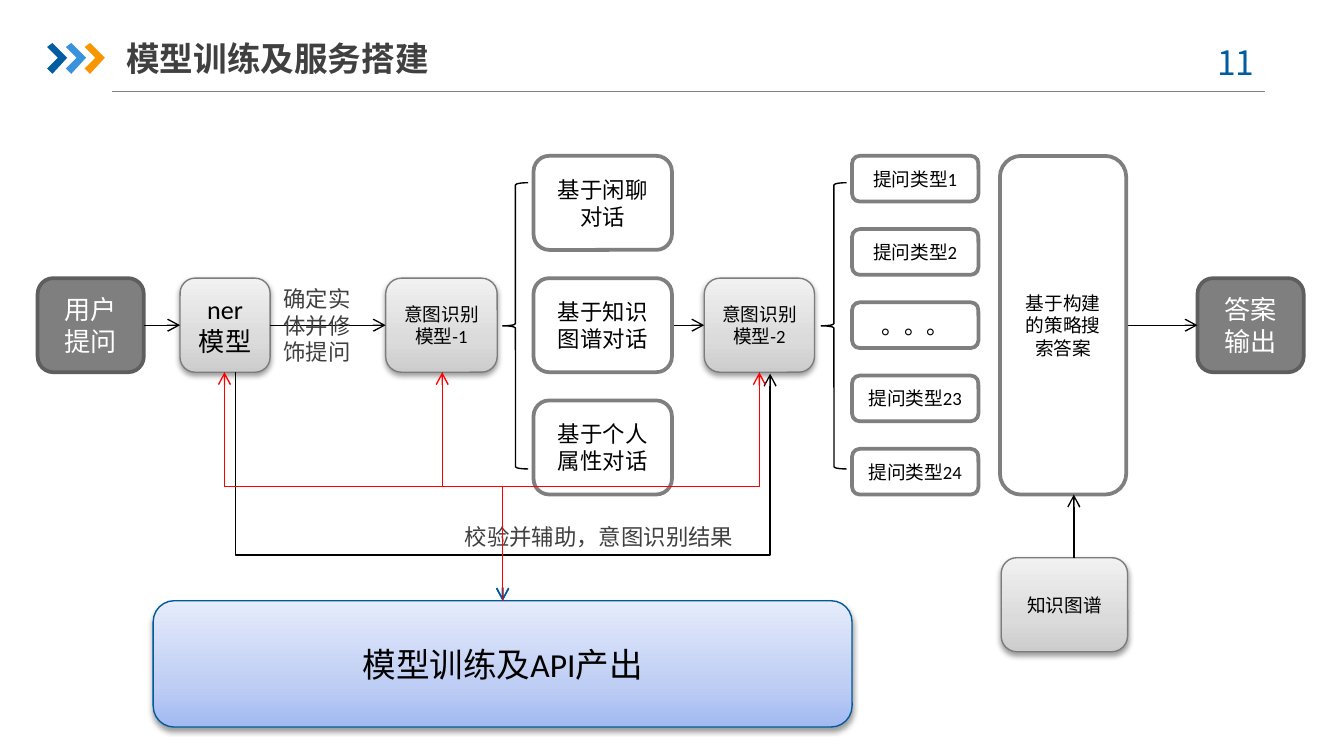
import pptx
import pptx.util
import pptx.dml.color
import pptx.enum.shapes
import pptx.enum.text
import pptx.oxml
import pptx.oxml.ns
from lxml import etree

Inches, Pt = pptx.util.Inches, pptx.util.Pt
RGBColor = pptx.dml.color.RGBColor
SHAPE = pptx.enum.shapes.MSO_SHAPE
CONNECTOR = pptx.enum.shapes.MSO_CONNECTOR
ALIGN = pptx.enum.text.PP_ALIGN
ANCHOR = pptx.enum.text.MSO_ANCHOR
qn = pptx.oxml.ns.qn

BLACK = RGBColor(0x00, 0x00, 0x00)
WHITE = RGBColor(0xFF, 0xFF, 0xFF)
RED = RGBColor(0xFF, 0x00, 0x00)
GRAY = RGBColor(0x7F, 0x7F, 0x7F)
DARK_GRAY = RGBColor(0x5E, 0x5E, 0x5E)
MID_GRAY = RGBColor(0x7C, 0x7C, 0x7C)
RULE_GRAY = RGBColor(0x80, 0x80, 0x80)
TEXT_GRAY = RGBColor(0x40, 0x40, 0x40)
BLUE = RGBColor(0x00, 0x5D, 0xA2)
LIGHT_BLUE = RGBColor(0x39, 0x92, 0xDB)
ORANGE = RGBColor(0xF7, 0x96, 0x00)
LINE_BLUE = RGBColor(0x00, 0x5B, 0x9E)
SILVER = [RGBColor(0xCC, 0xCC, 0xCC), RGBColor(0xDB, 0xDB, 0xDB), RGBColor(0xF1, 0xF1, 0xF1)]
SKY = [RGBColor(0xA2, 0xBA, 0xF2), RGBColor(0xBF, 0xCE, 0xF4), RGBColor(0xE6, 0xEC, 0xFC)]
CJK_FONT = "Noto Sans CJK SC"
ROW_H = 0.7


def sub(parent, tag, **attrs):
    """Append a DrawingML child element and return it."""
    return etree.SubElement(parent, qn(tag), {k: str(v) for k, v in attrs.items()})


def write(tf, text, size, color, font="Calibri", align=ALIGN.CENTER, bold=False):
    """Put one formatted run in a text frame."""
    p = tf.paragraphs[0]
    p.alignment = align
    r = p.add_run()
    r.text = text
    r.font.size, r.font.name, r.font.bold = Pt(size), font, bold
    r.font.color.rgb = color
    sub(r.font._element, "a:ea", typeface=CJK_FONT)


def add_label(s, box, text, size, color, align=ALIGN.LEFT, wrap=True, bold=False):
    """Add a text box and return its text frame."""
    tf = s.shapes.add_textbox(*map(Inches, box)).text_frame
    tf.word_wrap = wrap
    write(tf, text, size, color, CJK_FONT, align, bold)
    return tf


def add_box(s, box, text, size, fill=WHITE, line=GRAY, width=2, color=BLACK):
    """Add a flat rounded box with centred text."""
    sp = s.shapes.add_shape(SHAPE.ROUNDED_RECTANGLE, *map(Inches, box))
    sp.shadow.inherit = False
    sp.fill.solid()
    sp.fill.fore_color.rgb = fill
    sp.line.color.rgb, sp.line.width = line, Pt(width)
    sp.text_frame.word_wrap = True
    sp.text_frame.vertical_anchor = ANCHOR.MIDDLE
    write(sp.text_frame, text, size, color)
    return sp


def add_raised_box(s, box, text, size, stops=SILVER, line=MID_GRAY):
    """Add a rounded box with an upward gradient and a soft shadow."""
    sp = add_box(s, box, text, size, line=line, width=0.75)
    sp.fill.gradient()
    sp.fill.gradient_angle = 90
    stop_list = sp._element.spPr.find(".//" + qn("a:gsLst"))
    for stop in list(stop_list):
        stop_list.remove(stop)
    for pos, color in zip((0, 35000, 100000), stops):
        sub(sub(stop_list, "a:gs", pos=pos), "a:srgbClr", val=color)
    effects = sp._element.spPr.find(qn("a:effectLst"))
    shadow = sub(effects, "a:outerShdw", blurRad=Pt(3.1), dist=Pt(1.6), dir=5400000, rotWithShape=0)
    sub(sub(shadow, "a:srgbClr", val=BLACK), "a:alpha", val=38000)


def add_line(s, start, end, color=BLACK, arrow=True, kind=CONNECTOR.STRAIGHT):
    """Add a thin connector, with an open arrowhead if wanted."""
    sp = s.shapes.add_connector(kind, *map(Inches, (*start, *end)))
    sp.line.color.rgb, sp.line.width = color, Pt(0.75)
    if arrow:
        sub(sp._element.spPr.find(qn("a:ln")), "a:tailEnd", type="arrow")
    sub(sp._element.spPr, "a:effectLst")
    return sp


def add_elbow(s, start, end, color=BLACK, bend=0.5):
    """Add a connector that leaves and arrives vertically."""
    (x1, y1), (x2, y2) = start, end
    w, h = abs(y2 - y1), abs(x2 - x1)
    left, top = (x1 + x2 - w) / 2, (y1 + y2 - h) / 2
    sp = add_line(s, (left, top), (left + w, top + h), color, kind=CONNECTOR.ELBOW)
    down = y2 > y1
    xfrm = sp._element.spPr.find(qn("a:xfrm"))
    xfrm.set("rot", str((90 if down else 270) * 60000))
    if (x2 > x1) == down:
        xfrm.set("flipV", "1")
    geom = sp._element.spPr.find(qn("a:prstGeom"))
    guides = geom.find(qn("a:avLst"))
    if guides is None:
        guides = sub(geom, "a:avLst")
    sub(guides, "a:gd", name="adj1", fmla=f"val {round(bend * 100000)}")


def add_brace(s, box):
    """Add a thin left brace."""
    sp = s.shapes.add_shape(SHAPE.LEFT_BRACE, *map(Inches, box))
    sp.shadow.inherit = False
    sp.fill.background()
    sp.line.color.rgb, sp.line.width = BLACK, Pt(0.75)


def add_header(s, x, y):
    """Draw the chevrons, title, page number and rule."""
    add_line(s, (x + 0.48, y + 0.36), (x + 9.06, y + 0.36), RULE_GRAY, arrow=False)
    outline = [(0.04, 0), (0.15, 0.11), (0.04, 0.23), (0, 0.19), (0.08, 0.11)]
    for i, color in enumerate((BLUE, LIGHT_BLUE, ORANGE)):
        left = x + 0.14 * i
        points = [(Inches(left + dx), Inches(y + dy)) for dx, dy in outline]
        builder = s.shapes.build_freeform(Inches(left), Inches(y + 0.03))
        builder.add_line_segments(points, close=True)
        sp = builder.convert_to_shape()
        sp.shadow.inherit = False
        sp.fill.solid()
        sp.fill.fore_color.rgb = color
        sp.line.fill.background()
    add_label(s, (x + 8.51, y - 0.06, 0.73, 0.4), "11 ", 18, BLUE, ALIGN.CENTER)
    tf = add_label(s, (x + 0.59, y - 0.1, 5.89, 0.42), "模型训练及服务搭建", 18, TEXT_GRAY, bold=True)
    tf.margin_left = tf.margin_right = 0
    tf.vertical_anchor = ANCHOR.MIDDLE


def add_main_row(s, x, y):
    """Draw the row from the user's question to the answer."""
    for dx, text in ((0, "用户提问"), (8.63, "答案输出")):
        add_box(s, (x + dx, y, 0.79, ROW_H), text, 14, GRAY, DARK_GRAY, color=WHITE)
    for dx, w, text, size in ((1.06, 0.67, "ner模型", 14), (2.59, 0.83, "意图识别模型-1", 10),
                              (4.96, 0.82, "意图识别模型-2", 10)):
        add_raised_box(s, (x + dx, y, w, ROW_H), text, size)
    for x1, x2 in ((0.79, 1.06), (1.73, 2.59), (4.72, 4.96), (8.1, 8.63)):
        add_line(s, (x + x1, y + ROW_H / 2), (x + x2, y + ROW_H / 2))
    add_label(s, (x + 1.73, y, 0.8, 0.71), "确定实体并修饰提问", 12, TEXT_GRAY)


def add_options(s, x, y, w, h, item_h, items):
    """Draw a brace and a column of evenly spaced boxes."""
    add_brace(s, (x - 0.23, y + 0.2, 0.19, 2.13))
    step = (h - item_h) / (len(items) - 1)
    for i, (text, size) in enumerate(items):
        add_box(s, (x, y + i * step, w, item_h), text, size)


def add_answer_search(s, x, y):
    """Draw the strategy box fed by the knowledge graph."""
    add_raised_box(s, (x + 0.01, y + 2.99, 0.94, ROW_H), "知识图谱", 10)
    add_box(s, (x, y, 0.94, 2.52), "基于构建的策略搜索答案", 10)
    add_line(s, (x + 0.55, y + 2.99), (x + 0.55, y + 2.52))


def add_training(s, x, y):
    """Draw the training box and the links to the models above it."""
    models_y = y - 1.7
    add_elbow(s, (x + 0.61, models_y), (x + 4.59, models_y + 0.01), bend=138)
    add_label(s, (x + 2.22, y - 0.63, 2.2, 0.3), "校验并辅助，意图识别结果", 12, TEXT_GRAY, wrap=False)
    add_raised_box(s, (x, y, 5.2, 0.94), "模型训练及API产出", 18, SKY, LINE_BLUE)
    hub = (x + 2.6, y)
    models = [(x + dx, models_y) for dx in (0.53, 2.15, 4.51)]
    for model in models:
        add_elbow(s, model, hub, LINE_BLUE)
    for model in models:
        add_elbow(s, hub, model, RED)


def main():
    """Build the slide and save it."""
    prs = pptx.Presentation()
    prs.slide_width = Inches(10)
    prs.slide_height = prs.slide_width * 9 // 16
    s = prs.slides.add_slide(prs.slide_layouts[6])
    dialogs = [(text, 12) for text in ("基于闲聊对话", "基于知识图谱对话", "基于个人属性对话")]
    questions = [("提问类型1", 10), ("提问类型2", 10), ("。。。", 12), ("提问类型23", 10), ("提问类型24", 10)]
    add_header(s, 0.35, 0.32)
    add_main_row(s, 0.28, 2.07)
    add_options(s, 3.97, 1.16, 1.03, 2.52, ROW_H, dialogs)
    add_options(s, 6.34, 1.16, 0.94, 2.52, 0.34, questions)
    add_answer_search(s, 7.44, 1.16)
    add_training(s, 1.14, 4.47)
    prs.save("out.pptx")


if __name__ == "__main__":
    main()
